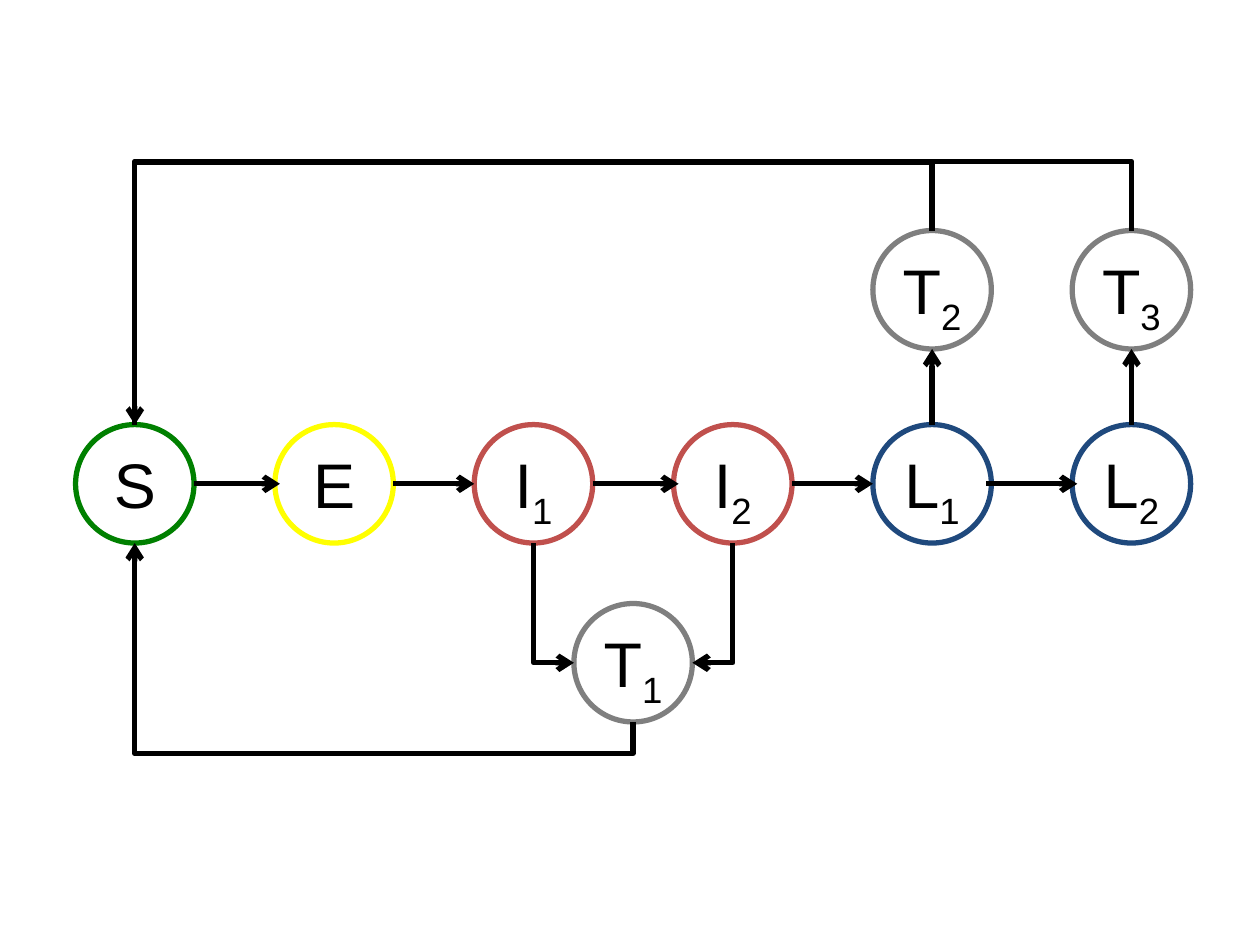
from dataclasses import dataclass
from lxml.etree import SubElement
from pptx import Presentation
from pptx.dml.color import RGBColor
from pptx.enum.shapes import MSO_CONNECTOR as Link, MSO_SHAPE as Shape
from pptx.enum.text import MSO_AUTO_SIZE as AutoSize, PP_ALIGN as Align
from pptx.oxml.ns import qn
from pptx.util import Inches, Pt


@dataclass(frozen=True)
class Theme:
    font: str = "Arial"
    size: float = 36
    stroke: float = 3
    ink: str = "000000"
    susceptible: str = "008000"
    exposed: str = "FFFF00"
    infectious: str = "C0504D"
    latent: str = "1F497D"
    treated: str = "7F7F7F"


THEME = Theme()

# Grid: centres of columns and rows, in inches
FIRST_COLUMN, LAST_COLUMN = 1.07, 8.98
PITCH = (LAST_COLUMN - FIRST_COLUMN) / 5
ROWS = {"top": 2.3, "main": 3.84, "low": 5.26}
DIAMETER = 0.94
RADIUS = DIAMETER / 2
LABEL_WIDTH, LABEL_HEIGHT = 0.87, 0.71
INSET = 0.04

# State: letter, subscript, column, row, colour
STATES = {
    "S": ("S", "", 0, "main", THEME.susceptible),
    "E": ("E", "", 1, "main", THEME.exposed),
    "I1": ("I", "1", 2, "main", THEME.infectious),
    "I2": ("I", "2", 3, "main", THEME.infectious),
    "L1": ("L", "1", 4, "main", THEME.latent),
    "L2": ("L", "2", 5, "main", THEME.latent),
    "T1": ("T", "1", 2.5, "low", THEME.treated),
    "T2": ("T", "2", 4, "top", THEME.treated),
    "T3": ("T", "3", 5, "top", THEME.treated),
}

# Progression: start, end, insets into the two circles
STEPS = [("S", "E", 0, INSET), ("E", "I1", 0, 0), ("I1", "I2", 0, INSET),
         ("I2", "L1", 0, 0), ("L1", "L2", INSET, INSET)]


def apply_format(target, values):
    for name, value in values.items():
        setattr(target, name, value)


def rim(state, across=0, down=0, inset=0):
    """Point on a state's circle in the given direction from its centre."""
    _, _, column, row, _ = STATES[state]
    reach = RADIUS - inset
    return (FIRST_COLUMN + column * PITCH + across * reach,
            ROWS[row] + down * reach)


def style_line(line, colour, arrow=False):
    line.color.rgb = RGBColor.from_string(colour)
    line.width = Pt(THEME.stroke)
    if arrow:
        SubElement(line._get_or_add_ln(), qn("a:tailEnd"), type="arrow")


def centred_box(centre, width, height):
    x, y = centre
    return [Inches(v) for v in (x - width / 2, y - height / 2, width, height)]


def add_state(page, state):
    letter, subscript, _, _, colour = STATES[state]
    group = page.shapes.add_group_shape()
    circle = group.shapes.add_shape(
        Shape.OVAL, *centred_box(rim(state), DIAMETER, DIAMETER))
    circle.shadow.inherit = False
    circle.fill.background()
    style_line(circle.line, colour)

    label = group.shapes.add_textbox(
        *centred_box(rim(state), LABEL_WIDTH, LABEL_HEIGHT))
    apply_format(label.text_frame,
                 {"word_wrap": True, "auto_size": AutoSize.SHAPE_TO_FIT_TEXT})
    para = label.text_frame.paragraphs[0]
    para.alignment = Align.CENTER
    for text, baseline in ((letter, None), (subscript, "-25000")):
        if not text:
            continue
        span = para.add_run()
        span.text = text
        apply_format(span.font, {"name": THEME.font, "size": Pt(THEME.size)})
        span.font.color.rgb = RGBColor.from_string(THEME.ink)
        if baseline:
            span.font._element.set("baseline", baseline)


def add_link(page, kind, begin, end):
    link = page.shapes.add_connector(
        kind, *[Inches(v) for v in (*begin, *end)])
    style_line(link.line, THEME.ink, arrow=True)
    SubElement(link._element.spPr, qn("a:effectLst"))
    return link


def add_bend(page, begin, end, level=None):
    """Elbow that leaves vertically; level is the height of its crossbar."""
    (x1, y1), (x2, y2) = begin, end
    x, y = (x1 + x2) / 2, (y1 + y2) / 2
    across, down = (x2 - x1) / 2, (y2 - y1) / 2
    # Ends are given before the quarter turn that makes the first leg vertical
    link = add_link(page, Link.ELBOW, (x - down, y + across),
                    (x + down, y - across))
    properties = link._element.spPr
    properties.find(qn("a:xfrm")).set("rot", "5400000")
    shape = properties.find(qn("a:prstGeom"))
    if level is None:
        shape.set("prst", "bentConnector2")
    else:
        share = round((level - y1) / (y2 - y1) * 100000)
        guides = shape.find(qn("a:avLst"))
        SubElement(guides, qn("a:gd"), name="adj1", fmla=f"val {share}")


def add_overpass(page, begin, end, level, arrow):
    """Open outline for a wide route, whose frame stays within the slide."""
    points = [begin, (begin[0], level), (end[0], level), end]
    start, *rest = [(Inches(x), Inches(y)) for x, y in points]
    builder = page.shapes.build_freeform(*start)
    builder.add_line_segments(rest, close=False)
    route = builder.convert_to_shape()
    route.shadow.inherit = False
    route.fill.background()
    style_line(route.line, THEME.ink, arrow)


def main():
    deck = Presentation()
    apply_format(deck, {"slide_width": Inches(10), "slide_height": Inches(7.5)})
    page = deck.slides.add_slide(deck.slide_layouts[6])

    # States
    for state in STATES:
        add_state(page, state)

    # Progression and treatment of latent states
    for start, end, leave, enter in STEPS:
        add_link(page, Link.STRAIGHT, rim(start, across=1, inset=leave),
                 rim(end, across=-1, inset=enter))
    for start, end in (("L1", "T2"), ("L2", "T3")):
        add_link(page, Link.STRAIGHT, rim(start, down=-1), rim(end, down=1))

    # Return to S
    add_bend(page, rim("T1", down=1), rim("S", down=1), level=5.98)
    for start, level, arrow in (("T2", 1.29, True), ("T3", 1.28, False)):
        add_overpass(page, rim(start, down=-1), rim("S", down=-1), level, arrow)

    # Treatment of infectious states
    for start, side in (("I1", -1), ("I2", 1)):
        add_bend(page, rim(start, down=1), rim("T1", across=side))

    deck.save("out.pptx")


main()
